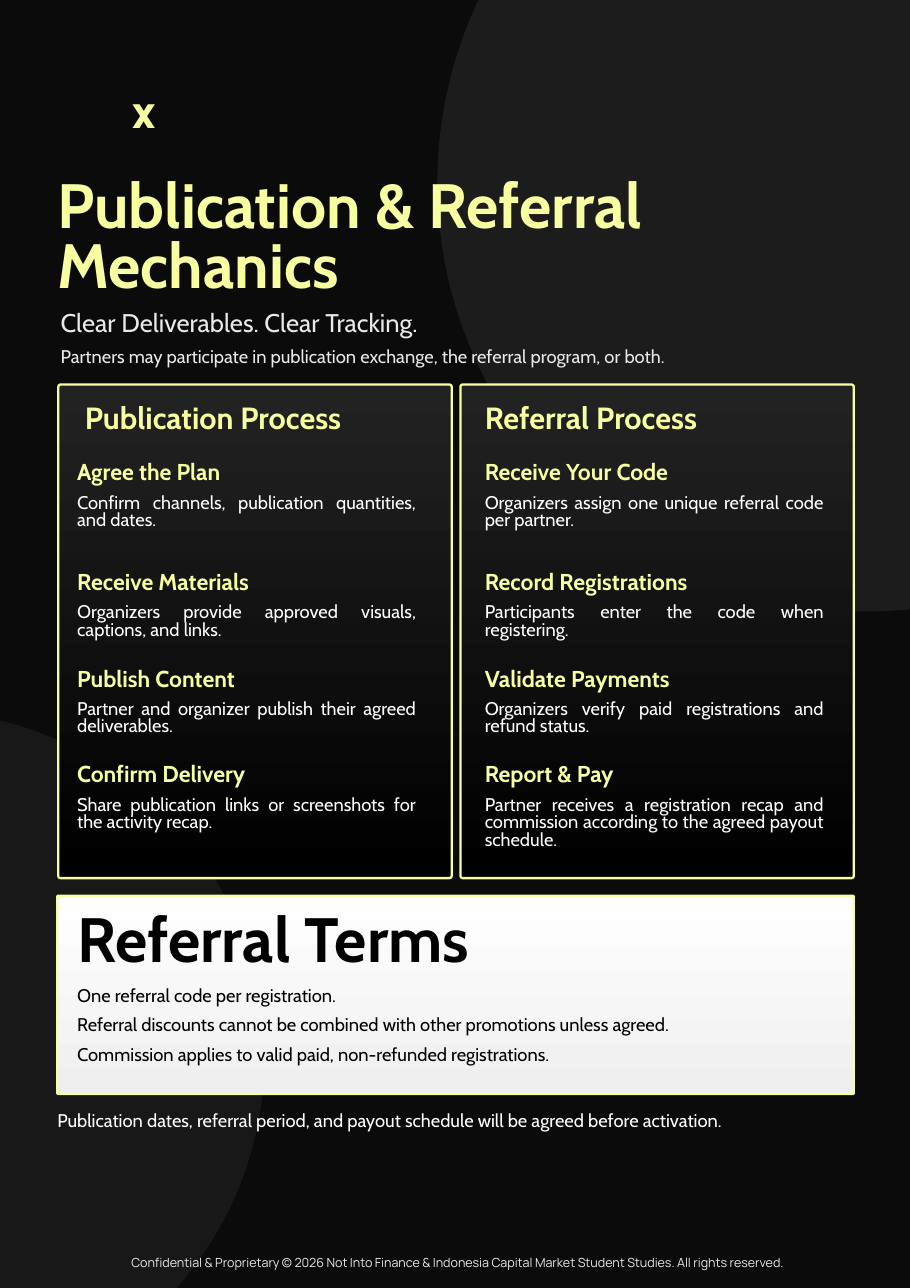
"""Build the publication and referral mechanics page."""
from dataclasses import dataclass

from pptx import Presentation
from pptx.dml.color import RGBColor
from pptx.enum.shapes import MSO_SHAPE
from pptx.enum.text import MSO_AUTO_SIZE, PP_ALIGN
from pptx.shapes.autoshape import Shape
from pptx.slide import Slide
from pptx.util import Inches, Pt

OVAL = MSO_SHAPE.OVAL
ROUNDED = MSO_SHAPE.ROUNDED_RECTANGLE
GROW = MSO_AUTO_SIZE.SHAPE_TO_FIT_TEXT
LEFT, CENTER, JUSTIFY = PP_ALIGN.LEFT, PP_ALIGN.CENTER, PP_ALIGN.JUSTIFY

COLORS = {
    "night": "0B0B0B",
    "large_circle": "1C1C1C",
    "small_circle": "181818",
    "lemon": "F7FFA1",
    "mist": "E9E9E9",
    "silver": "EFEFEF",
    "charcoal": "222222",
    "white": "FFFFFF",
    "black": "000000",
}


@dataclass(frozen=True)
class Style:
    size: float
    leading: float
    color: str
    bold: bool = False
    align: PP_ALIGN = LEFT
    font: str = "Cabin"


@dataclass(frozen=True)
class Label:
    text: str
    left: float
    top: float
    width: float
    height: float
    style: Style


@dataclass(frozen=True)
class Circle:
    left: float
    top: float
    diameter: float
    color: str


@dataclass(frozen=True)
class Panel:
    left: float
    top: float
    width: float
    height: float
    shades: tuple[str, str]
    radius: float


@dataclass(frozen=True)
class Step:
    heading: str
    detail: str


@dataclass(frozen=True)
class Process:
    panel_left: float
    title_left: float
    step_left: float
    title: str
    steps: tuple[Step, ...]


FOOTER = Style(8.2, 9.8, "mist", align=CENTER, font="Manrope")
CROSS = Style(31, 28.5, "lemon", True, CENTER)
TITLE = Style(40.9, 38.9, "lemon", True)
SUBTITLE = Style(16.7, 20, "mist")
INTRO = Style(12, 14.4, "mist")
PROCESS_TITLE = Style(20, 19, "lemon", True)
STEP_HEADING = Style(15, 14.2, "lemon", True, JUSTIFY)
STEP_DETAIL = Style(12, 11.4, "white", align=JUSTIFY)
TERMS_TITLE = Style(40.9, 38.9, "black", True)
TERM = Style(12, 11.4, "black")
CLOSING = Style(12, 11.4, "white")

CIRCLES = (
    Circle(3.97, -2.23, 7.78, "large_circle"),
    Circle(-3.89, 6.45, 6.29, "small_circle"),
)
HEADER = (
    Label("Confidential & Proprietary © 2026 Not Into Finance & Indonesia Capital "
          "Market Student Studies. All rights reserved.", 0, 11.39, 8.31, 0.22, FOOTER),
    Label("x", 1.18, 0.86, 0.25, 0.42, CROSS),
    Label("Publication & Referral Mechanics", 0.52, 1.65, 6.78, 1.1, TITLE),
    Label("Clear Deliverables. Clear Tracking.", 0.55, 2.79, 7.2, 0.27, SUBTITLE),
    Label("Partners may participate in publication exchange, the referral program, "
          "or both.", 0.55, 3.13, 7.2, 0.21, INTRO),
)
STEP_TOPS = (4.21, 5.2, 6.08, 6.95)
DETAIL_OFFSET = 0.29
PROCESSES = (
    Process(0.53, 0.77, 0.7, "Publication Process", (
        Step("Agree the Plan", "Confirm channels, publication quantities, and dates."),
        Step("Receive Materials",
             "Organizers provide approved visuals, captions, and links."),
        Step("Publish Content",
             "Partner and organizer publish their agreed deliverables."),
        Step("Confirm Delivery",
             "Share publication links or screenshots for the activity recap."),
    )),
    Process(4.18, 4.4, 4.4, "Referral Process", (
        Step("Receive Your Code",
             "Organizers assign one unique referral code per partner."),
        Step("Record Registrations", "Participants enter the code when registering."),
        Step("Validate Payments",
             "Organizers verify paid registrations and refund status."),
        Step("Report & Pay", "Partner receives a registration recap and commission "
             "according to the agreed payout schedule."),
    )),
)
TERMS = (
    "One referral code per registration.",
    "Referral discounts cannot be combined with other promotions unless agreed.",
    "Commission applies to valid paid, non-refunded registrations.",
)
TERMS_TOP, TERMS_PITCH = 8.97, 0.27


def rgb(name: str) -> RGBColor:
    return RGBColor.from_string(COLORS[name])


def add_label(page: Slide, label: Label) -> None:
    box = page.shapes.add_textbox(Inches(label.left), Inches(label.top),
                                  Inches(label.width), Inches(label.height))
    frame = box.text_frame
    frame.margin_left = frame.margin_right = frame.margin_top = frame.margin_bottom = 0
    frame.word_wrap = True
    frame.auto_size = GROW
    para = frame.paragraphs[0]
    para.alignment = label.style.align
    para.line_spacing = Pt(label.style.leading)
    span = para.add_run()
    span.text = label.text
    span.font.name = label.style.font
    span.font.size = Pt(label.style.size)
    span.font.bold = label.style.bold
    span.font.color.rgb = rgb(label.style.color)


def add_circle(page: Slide, circle: Circle) -> None:
    diameter = Inches(circle.diameter)
    disc: Shape = page.shapes.add_shape(
        OVAL, Inches(circle.left), Inches(circle.top), diameter, diameter)
    disc.shadow.inherit = False
    disc.fill.solid()
    disc.fill.fore_color.rgb = rgb(circle.color)
    disc.line.fill.background()


def add_panel(page: Slide, panel: Panel) -> None:
    card: Shape = page.shapes.add_shape(
        ROUNDED, Inches(panel.left), Inches(panel.top),
        Inches(panel.width), Inches(panel.height))
    card.adjustments[0] = panel.radius / min(panel.width, panel.height)
    card.shadow.inherit = False
    card.fill.gradient()
    card.fill.gradient_angle = 270
    for stop, shade in zip(card.fill.gradient_stops, panel.shades):
        stop.color.rgb = rgb(shade)
    card.line.color.rgb = rgb("lemon")
    card.line.width = Pt(1.5)


def add_process(page: Slide, process: Process) -> None:
    add_panel(page, Panel(process.panel_left, 3.49, 3.57, 4.48,
                          ("charcoal", "black"), 0.02))
    add_label(page, Label(process.title, process.title_left, 3.69, 3.19, 0.29,
                          PROCESS_TITLE))
    for top, step in zip(STEP_TOPS, process.steps):
        add_label(page, Label(step.heading, process.step_left, top, 3.08, 0.22,
                              STEP_HEADING))
        add_label(page, Label(step.detail, process.step_left, top + DETAIL_OFFSET,
                              3.08, 0.33, STEP_DETAIL))


def add_terms(page: Slide) -> None:
    add_panel(page, Panel(0.52, 8.13, 7.23, 1.8, ("white", "silver"), 0.01))
    add_label(page, Label("Referral Terms", 0.7, 8.31, 6.78, 0.57, TERMS_TITLE))
    for row, term in enumerate(TERMS):
        add_label(page, Label(term, 0.7, TERMS_TOP + row * TERMS_PITCH, 6.89, 0.18, TERM))


def main() -> None:
    deck = Presentation()
    deck.slide_width, deck.slide_height = Inches(8.26), Inches(11.69)
    page = deck.slides.add_slide(deck.slide_layouts[6])
    page.background.fill.solid()
    page.background.fill.fore_color.rgb = rgb("night")
    for circle in CIRCLES:
        add_circle(page, circle)
    for label in HEADER:
        add_label(page, label)
    for process in PROCESSES:
        add_process(page, process)
    add_terms(page)
    add_label(page, Label("Publication dates, referral period, and payout schedule will "
                          "be agreed before activation.", 0.52, 10.11, 7.23, 0.18, CLOSING))
    deck.save("out.pptx")


if __name__ == "__main__":
    main()
